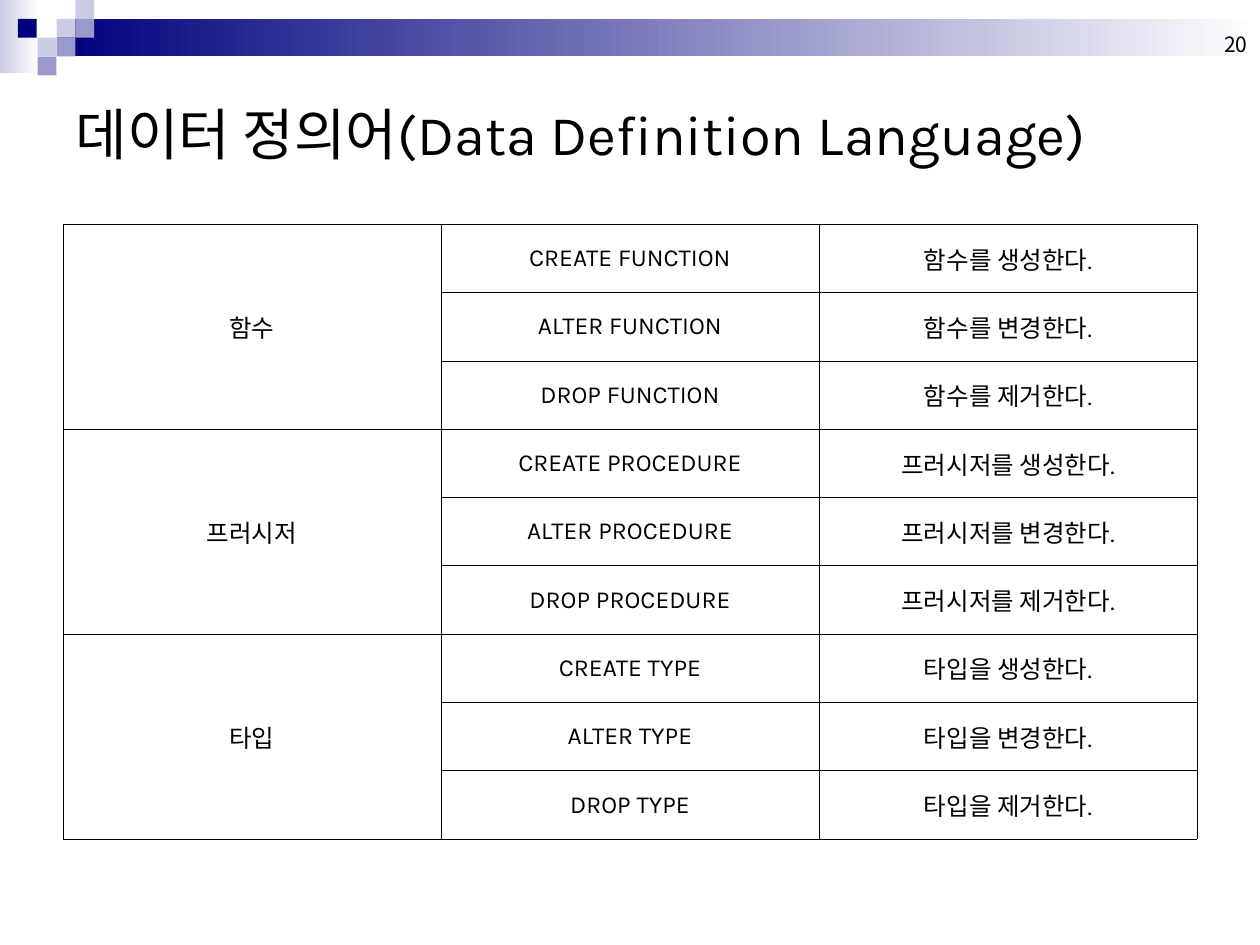
from dataclasses import dataclass

from lxml import etree
from pptx import Presentation
from pptx.dml.color import RGBColor
from pptx.enum.shapes import MSO_SHAPE
from pptx.enum.text import MSO_ANCHOR, PP_ALIGN
from pptx.oxml.ns import qn
from pptx.util import Cm, Pt

RECT = MSO_SHAPE.RECTANGLE
MIDDLE, BOTTOM = MSO_ANCHOR.MIDDLE, MSO_ANCHOR.BOTTOM
LEFT, CENTER, RIGHT = PP_ALIGN.LEFT, PP_ALIGN.CENTER, PP_ALIGN.RIGHT


@dataclass(frozen=True)
class Theme:
    latin: str = "Karla"
    korean: str = "Noto Sans CJK KR"
    text: str = "000000"
    navy: str = "00007D"
    violet: str = "9999CC"
    pale: str = "CCCCE6"
    white: str = "FFFFFF"
    title_size: int = 32
    table_size: int = 14
    number_size: int = 12
    border: float = 0.34


THEME = Theme()
UNIT = 0.38
SQUARES = [
    (1.14, 0, THEME.pale),
    (1.52, -1, THEME.pale),
    (1.52, 0, THEME.violet),
    (0.76, 1, THEME.pale),
    (0.36, 0, THEME.navy),
    (1.14, 1, THEME.violet),
    (0.76, 2, THEME.violet),
]
OBJECTS = [
    ("함수", "FUNCTION", "를"),
    ("프러시저", "PROCEDURE", "를"),
    ("타입", "TYPE", "을"),
]
ACTIONS = [("CREATE", "생성"), ("ALTER", "변경"), ("DROP", "제거")]


def add_rect(s, x, y, w, h, color, fade_to=None):
    sp = s.shapes.add_shape(RECT, Cm(x), Cm(y), Cm(w), Cm(h))
    sp.shadow.inherit = False
    sp.line.fill.background()
    if fade_to:
        sp.fill.gradient()
        sp.fill.gradient_angle = 0
        for stop, value in zip(sp.fill.gradient_stops, (color, fade_to)):
            stop.color.rgb = RGBColor.from_string(value)
    else:
        sp.fill.solid()
        sp.fill.fore_color.rgb = RGBColor.from_string(color)


def write(tf, text, size, align, font=THEME.latin):
    p = tf.paragraphs[0]
    p.alignment = align
    r = p.add_run()
    r.text = text
    r.font.size = Pt(size)
    r.font.name = font
    r.font.color.rgb = RGBColor.from_string(THEME.text)
    ea = etree.SubElement(r.font._element, qn("a:ea"))
    ea.set("typeface", THEME.korean)


def add_decoration(s):
    add_rect(s, 0, 0, 0.79, 1.47, THEME.pale, THEME.white)
    add_rect(s, 1.14, UNIT, 24.26, 2 * UNIT, THEME.navy, THEME.white)
    for x, row, color in SQUARES:
        add_rect(s, x, (row + 1) * UNIT, UNIT, UNIT, color)


def add_number(s, text):
    tf = s.shapes.add_textbox(Cm(19.48), 0, Cm(5.92), Cm(1.27)).text_frame
    tf.word_wrap = True
    tf.vertical_anchor = BOTTOM
    write(tf, text, THEME.number_size, RIGHT, THEME.korean)


def set_title(s, text):
    sp = s.shapes.title
    sp.left, sp.top, sp.width, sp.height = Cm(1.27), Cm(1.27), Cm(22.86), Cm(2.84)
    sp.text_frame.vertical_anchor = MIDDLE
    write(sp.text_frame, text, THEME.title_size, LEFT)


def format_cell(cell):
    tcPr = cell._tc.get_or_add_tcPr()
    for side in ("lnL", "lnR", "lnT", "lnB"):
        ln = etree.SubElement(tcPr, qn(f"a:{side}"), w=str(Pt(THEME.border)))
        fill = etree.SubElement(ln, qn("a:solidFill"))
        etree.SubElement(fill, qn("a:srgbClr"), val=THEME.text)
    cell.fill.background()
    cell.vertical_anchor = MIDDLE
    cell.margin_left = cell.margin_right = Cm(0.1)
    cell.margin_top = cell.margin_bottom = Cm(0.13)


def add_statement_table(s):
    span = len(ACTIONS)
    count = span * len(OBJECTS)
    table = s.shapes.add_table(
        count, 3, Cm(1.27), Cm(4.52), Cm(22.86), Cm(12.4)
    ).table
    table.first_row = table.horz_banding = False
    for cell in table.iter_cells():
        format_cell(cell)
    for i, (name, keyword, particle) in enumerate(OBJECTS):
        top = i * span
        table.cell(top, 0).merge(table.cell(top + span - 1, 0))
        write(table.cell(top, 0).text_frame, name, THEME.table_size, CENTER)
        for row, (command, action) in enumerate(ACTIONS, top):
            texts = (f"{command} {keyword}", f"{name}{particle} {action}한다.")
            for col, text in enumerate(texts, 1):
                write(table.cell(row, col).text_frame, text, THEME.table_size, CENTER)


def main():
    prs = Presentation()
    prs.slide_width, prs.slide_height = Cm(25.4), Cm(19.05)
    s = prs.slides.add_slide(prs.slide_layouts[5])
    add_decoration(s)
    add_number(s, "20")
    set_title(s, "데이터 정의어(Data Definition Language)")
    add_statement_table(s)
    prs.save("out.pptx")


if __name__ == "__main__":
    main()
